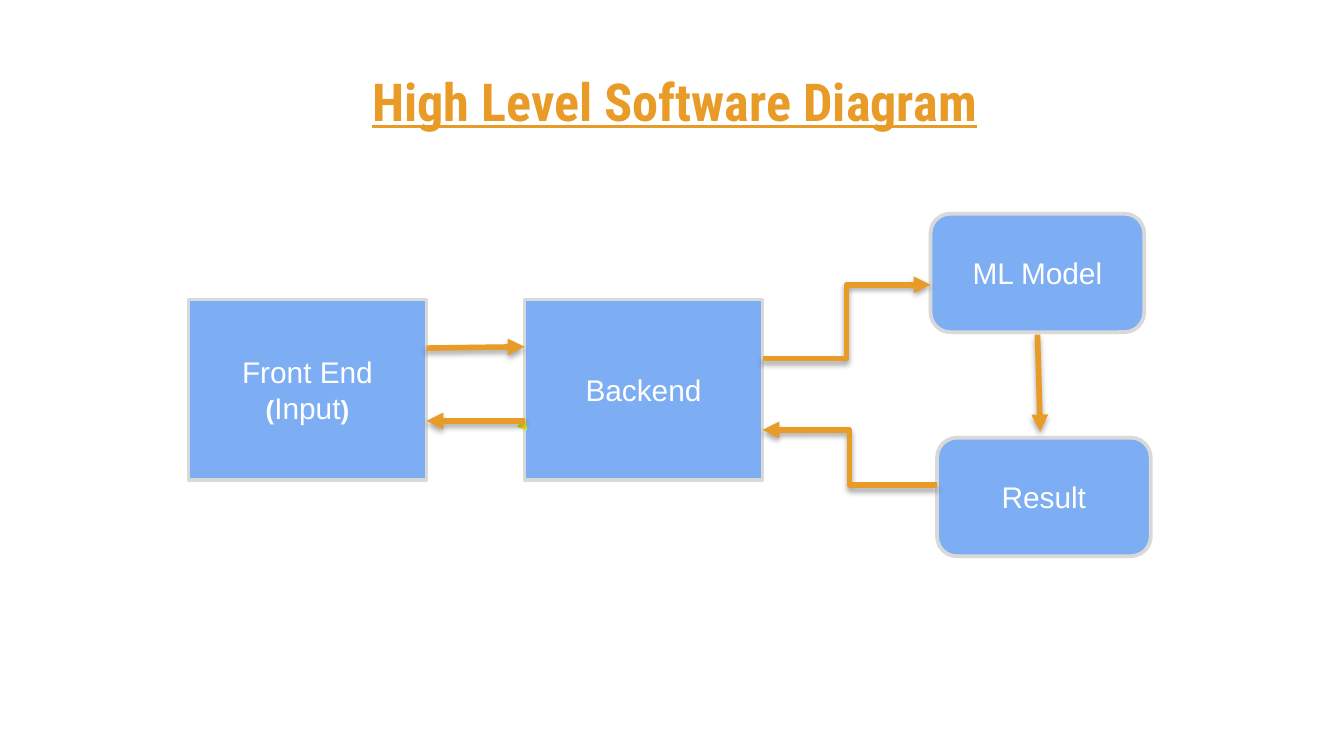
import pptx
import pptx.dml.color
import pptx.enum.shapes
import pptx.enum.text
import pptx.oxml
import pptx.oxml.ns
import pptx.util

Pt = pptx.util.Pt
RGBColor = pptx.dml.color.RGBColor
SHAPE = pptx.enum.shapes.MSO_SHAPE
CONNECTOR = pptx.enum.shapes.MSO_CONNECTOR

ORANGE = RGBColor(0xE9, 0x9B, 0x27)
YELLOW = RGBColor(0xE3, 0xEA, 0x21)
BLUE = RGBColor(0x7D, 0xAD, 0xF2)
GREY = RGBColor(0xD9, 0xD9, 0xD9)
WHITE = RGBColor(0xFF, 0xFF, 0xFF)

NAMESPACE = pptx.oxml.ns.nsdecls("a")
ARROWHEAD = f'<a:tailEnd {NAMESPACE} type="triangle"/>'
NO_EFFECT = f"<a:effectLst {NAMESPACE}/>"
SOFT_SHADOW = (
    f'<a:effectLst {NAMESPACE}><a:outerShdw blurRad="{Pt(3.1)}" dist="{Pt(1.8)}" '
    'dir="5400000" algn="ctr" rotWithShape="0"><a:srgbClr val="000000">'
    '<a:alpha val="35000"/></a:srgbClr></a:outerShdw></a:effectLst>'
)


class DiagramSlide:
    """Style of the diagram and the slide it is drawn on."""

    body_font = "Arial"
    title_font = "Roboto Condensed"

    def __init__(self, slide):
        self.slide = slide

    def add_text(self, shape, paragraphs, font, color, underline=False):
        """Each paragraph is a list of (text, size, bold) runs."""
        frame = shape.text_frame
        frame.word_wrap = True
        frame.vertical_anchor = pptx.enum.text.MSO_ANCHOR.MIDDLE
        frame.margin_left = frame.margin_right = Pt(7.2)
        frame.margin_top = frame.margin_bottom = Pt(7.2)
        for index, runs in enumerate(paragraphs):
            paragraph = frame.add_paragraph() if index else frame.paragraphs[0]
            paragraph.alignment = pptx.enum.text.PP_ALIGN.CENTER
            for text, size, bold in runs:
                run = paragraph.add_run()
                run.text = text
                run.font.name = font
                run.font.size = Pt(size)
                run.font.bold = bold
                run.font.underline = underline
                run.font.color.rgb = color

    def title(self, text, left, top, width, height):
        box = self.slide.shapes.add_textbox(Pt(left), Pt(top), Pt(width), Pt(height))
        self.add_text(box, [[(text, 28, True)]], self.title_font, ORANGE, underline=True)

    def block(self, kind, left, top, width, height, paragraphs):
        shape = self.slide.shapes.add_shape(
            kind, Pt(left), Pt(top), Pt(width), Pt(height))
        shape.shadow.inherit = False
        shape.fill.solid()
        shape.fill.fore_color.rgb = BLUE
        shape.line.color.rgb = GREY
        shape.line.width = Pt(2)
        self.add_text(shape, paragraphs, self.body_font, WHITE)

    def arrow(self, start, end, kind=CONNECTOR.STRAIGHT, color=ORANGE, width=3,
              effect=SOFT_SHADOW):
        connector = self.slide.shapes.add_connector(
            kind, *(Pt(length) for length in (*start, *end)))
        connector.line.color.rgb = color
        connector.line.width = Pt(width)
        properties = connector._element.spPr
        properties.find(pptx.oxml.ns.qn("a:ln")).append(pptx.oxml.parse_xml(ARROWHEAD))
        properties.append(pptx.oxml.parse_xml(effect))


def main():
    presentation = pptx.Presentation()
    presentation.slide_width = Pt(720)
    presentation.slide_height = Pt(405)
    diagram = DiagramSlide(presentation.slides.add_slide(presentation.slide_layouts[6]))

    diagram.title("High Level Software Diagram", 37.4, 38.9, 648, 29.5)

    # Front end and backend
    front_left, backend_left, process_width = 101, 281, 127.5
    front_right = front_left + process_width
    backend_right = backend_left + process_width
    front_text = [[("Front End", 16, False)],
                  [("(", 14, True), ("Input", 16, False), (")", 14, True)]]
    backend_text = [[("Backend", 16, False)]]
    for left, paragraphs in ((front_left, front_text), (backend_left, backend_text)):
        diagram.block(SHAPE.FLOWCHART_PROCESS, left, 160.5, process_width, 96.5, paragraphs)

    # Model and result
    model_left, result_left = 498.5, 502
    for text, left, top in (("ML Model", model_left, 114.5), ("Result", result_left, 234.5)):
        diagram.block(SHAPE.FLOWCHART_ALTERNATE_PROCESS, left, top, 114.5, 63.5,
                      [[(text, 16, False)]])

    # Request and reply between front end and backend
    diagram.arrow((front_right, 186.5), (backend_left, 185.8))
    diagram.arrow((backend_left, 225.5), (281.5, 224), color=YELLOW, width=0.75,
                  effect=NO_EFFECT)
    diagram.arrow((backend_left, 225.5), (front_right, 225.5))

    # Loop through the model and back
    diagram.arrow((backend_right, 192.2), (model_left, 152.6), CONNECTOR.ELBOW)
    diagram.arrow((result_left, 260), (backend_right, 230.4), CONNECTOR.ELBOW)
    diagram.arrow((555.8, 179.3), (557.3, 231.1))

    presentation.save("out.pptx")


if __name__ == "__main__":
    main()
